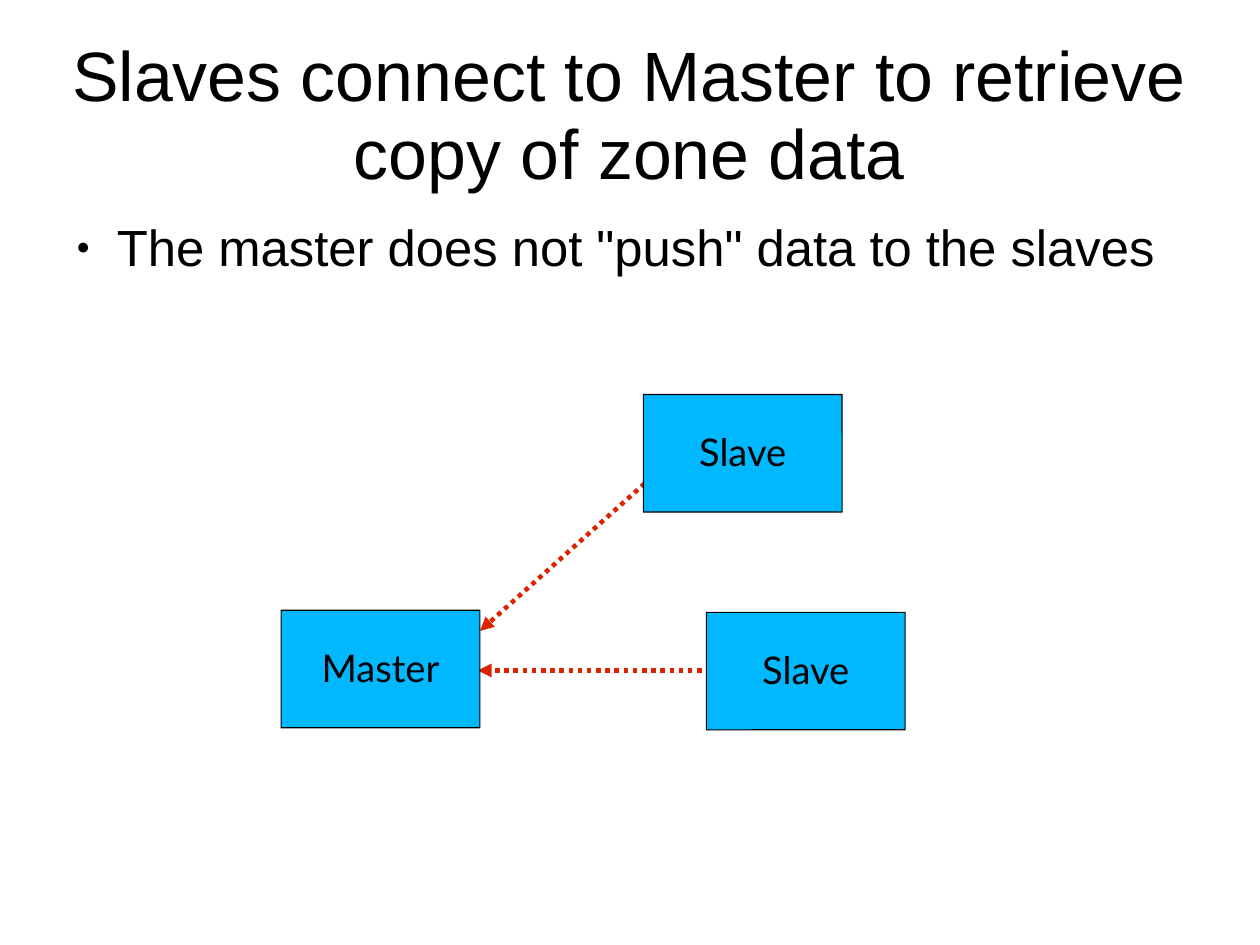
from lxml import etree
from pptx import Presentation
from pptx.dml.color import RGBColor
from pptx.enum.dml import MSO_LINE
from pptx.enum.shapes import MSO_CONNECTOR, MSO_SHAPE
from pptx.enum.text import MSO_ANCHOR, MSO_AUTO_SIZE, PP_ALIGN
from pptx.oxml.ns import qn
from pptx.util import Pt

BLACK = RGBColor(0x00, 0x00, 0x00)
SERVER_BLUE = RGBColor(0x00, 0xB8, 0xFF)
TRANSFER_RED = RGBColor(0xDC, 0x23, 0x00)
ROUND_RECT = MSO_SHAPE.ROUNDED_RECTANGLE
STRAIGHT = MSO_CONNECTOR.STRAIGHT
DOTTED = MSO_LINE.ROUND_DOT
TOP, MIDDLE = MSO_ANCHOR.TOP, MSO_ANCHOR.MIDDLE
LEFT, CENTER = PP_ALIGN.LEFT, PP_ALIGN.CENTER
NO_AUTOFIT = MSO_AUTO_SIZE.NONE

MARGIN, CONTENT_WIDTH = 39.6, 714.2
SERVER_WIDTH, SERVER_HEIGHT = 125.2, 74


def write(holder, text, size, font="Arial", align=CENTER, anchor=MIDDLE, spacing=0.93):
    frame = holder.text_frame
    frame.margin_left = frame.margin_right = frame.margin_top = frame.margin_bottom = 0
    frame.auto_size = NO_AUTOFIT
    frame.word_wrap = True
    frame.vertical_anchor = anchor
    paragraph = frame.paragraphs[0]
    paragraph.alignment = align
    paragraph.line_spacing = spacing
    paragraph.space_before = Pt(0)
    run = paragraph.add_run()
    run.text = text
    run.font.size = Pt(size)
    run.font.name = font
    run.font.color.rgb = BLACK
    return paragraph


deck = Presentation()
deck.slide_width, deck.slide_height = Pt(793.75), Pt(595.25)
slide = deck.slides.add_slide(deck.slide_layouts[1])

headline, statement = slide.placeholders
for placeholder, top, height in ((headline, 23.8, 99.4), (statement, 139, 393)):
    placeholder.left, placeholder.top = Pt(MARGIN), Pt(top)
    placeholder.width, placeholder.height = Pt(CONTENT_WIDTH), Pt(height)

write(headline, "Slaves connect to Master to retrieve copy of zone data", 44)
point = write(statement, 'The master does not "push" data to the slaves', 32, align=LEFT, anchor=TOP)
point.space_after = Pt(14.3)
bullet = point._p.get_or_add_pPr()
bullet.set("marL", str(Pt(34)))
bullet.set("indent", str(Pt(-25.5)))
etree.SubElement(bullet, qn("a:buSzPct"), val="45000")
etree.SubElement(bullet, qn("a:buChar"), char="●")

transfers = (
    (447.8, 422.3, 301, 422.3),
    (406.1, 304.6, 302.4, 397.4),
)
for ends in transfers:
    transfer = slide.shapes.add_connector(STRAIGHT, *map(Pt, ends))
    transfer.line.color.rgb = TRANSFER_RED
    transfer.line.width = Pt(2.89)
    transfer.line.dash_style = DOTTED
    etree.SubElement(transfer.line._get_or_add_ln(), qn("a:tailEnd"), type="triangle")
    etree.SubElement(transfer._element.spPr, qn("a:effectLst"))

servers = (("Master", 177.1, 384.4), ("Slave", 405.3, 248.5), ("Slave", 445, 385.7))
for role, left, top in servers:
    server = slide.shapes.add_shape(
        ROUND_RECT, Pt(left), Pt(top), Pt(SERVER_WIDTH), Pt(SERVER_HEIGHT))
    server.adjustments[0] = 0.002
    server.shadow.inherit = False
    server.fill.solid()
    server.fill.fore_color.rgb = SERVER_BLUE
    server.line.color.rgb = BLACK
    server.line.width = Pt(0.74)
    write(server, role, 24, font="Lato", spacing=0.95)

deck.save("out.pptx")
